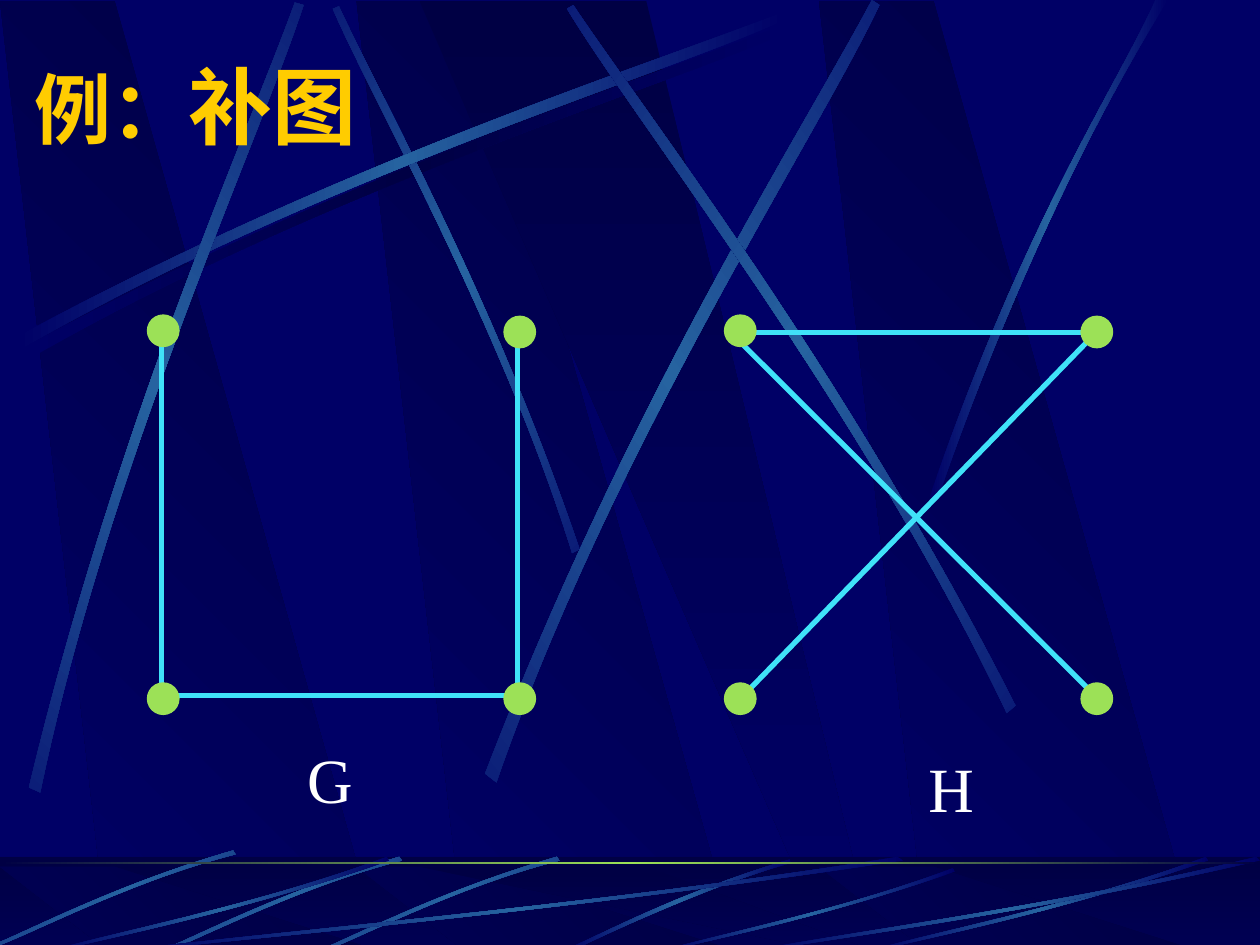
import math
from dataclasses import dataclass

import lxml.etree
import pptx
import pptx.dml.color
import pptx.enum.shapes
import pptx.enum.text
import pptx.oxml
import pptx.oxml.ns
import pptx.util

PX = 9144  # EMU in one px: 100 px to the inch
SLIDE_WIDTH, SLIDE_HEIGHT = 1000, 750
NAVY, DARK, STEEL = "000066", "000044", "2663A0"
GREEN, CYAN, GOLD, WHITE = "9CE157", "40E2F8", "FFCC00", "FFFFFF"
LATIN_FONT, CHINESE_FONT = "Times New Roman", "Noto Sans CJK SC"
SHADE, GLOW = (DARK, NAVY), (NAVY, STEEL, NAVY)
FOOTER_TOP, FOOTER_BOTTOM = 680, 755
NODE_SIZE = 25

Point = tuple[float, float]


@dataclass(frozen=True)
class Stroke:
    """A tapered ray: one Bezier edge out and one back, four points each."""
    points: tuple[Point, ...]
    rotation: float = 0
    colors: tuple[str, ...] = GLOW
    angle: int = 180


@dataclass(frozen=True)
class Graph:
    label: str
    label_at: Point
    label_in_group: bool
    columns: tuple[int, int]
    edges: tuple[tuple[int, int, int, int], ...]


@dataclass(frozen=True)
class TextRun:
    text: str
    size: int
    font: str = LATIN_FONT


RAYS = (
    Stroke(((20, 275), (284, 134), (524, 59), (626, 18),
            (629, 24), (528, 69), (254, 151), (23, 285)), colors=(NAVY, DARK, NAVY)),
    Stroke(((460, 436), (391, 234), (302, 77), (269, 5),
            (264, 7), (295, 79), (398, 258), (454, 439)), 45),
    Stroke(((14, 267), (278, 125), (518, 51), (620, 10),
            (623, 16), (522, 61), (248, 143), (17, 277))),
    Stroke(((23, 625), (93, 334), (197, 105), (234, 2),
            (241, 4), (207, 109), (86, 368), (32, 629)), 311.7),
    Stroke(((385, 614), (498, 320), (638, 102), (692, 0),
            (698, 4), (649, 108), (486, 355), (394, 621)), 321.6),
    Stroke(((806, 560), (670, 293), (516, 95), (455, 4),
            (450, 7), (507, 101), (685, 325), (799, 566)), 34.8),
    Stroke(((738, 394), (814, 173), (888, 66), (917, 0),
            (927, 0), (836, 145), (769, 322), (744, 397))),
)
FOOTER_RAY = Stroke(((627, 682), (537, 709), (477, 742), (448, 754),
                     (453, 755), (490, 737), (571, 700), (628, 685)))
TILTED_RAY = ((442, 680), (355, 705), (287, 740), (256, 753),
              (257, 755), (288, 743), (365, 703), (444, 683))
TILTED_OFFSETS = ((0, 0), (-125, 0), (-257, -5))
SWEEP = ((267, 3), (151, 43), (46, 64), (1, 75), (0, 74), (44, 61), (164, 38), (265, 0))
SWEEP_WIDTH, SWEEP_HEIGHT = 267, 75
SWEEP_BOXES = ((100, 680, 617), (42, 680, 267), (527, 689, 231),
               (692, 680, 267), (600, 680, 400))  # left, top, width
BAND_OFFSETS = (283, 0, 650)

GRAPHS = (
    Graph("G", (234, 583), False, (117, 400),
          ((408, 552, 133, 552), (128, 267, 128, 558), (411, 267, 411, 559))),
    Graph("H", (727, 590), True, (575, 858),
          ((583, 267, 875, 558), (867, 264, 592, 264), (592, 550, 867, 267))),
)


def px(length: float) -> pptx.util.Emu:
    return pptx.util.Emu(round(length * PX))


def rgb(color: str) -> pptx.dml.color.RGBColor:
    return pptx.dml.color.RGBColor.from_string(color)


def fill_gradient(shape, colors: tuple[str, ...], angle: int) -> None:
    """Fill with evenly spaced stops; the angle runs clockwise in degrees."""
    shape.shadow.inherit = False
    shape.line.fill.background()
    shape.fill.gradient()
    gradient = shape.element.spPr.find(pptx.oxml.ns.qn("a:gradFill"))
    stops = "".join(
        f'<a:gs pos="{100000 * index // (len(colors) - 1)}"><a:srgbClr val="{color}"/></a:gs>'
        for index, color in enumerate(colors))
    replacement = pptx.oxml.parse_xml(
        f'<a:gradFill {pptx.oxml.ns.nsdecls("a")} rotWithShape="1"><a:gsLst>{stops}</a:gsLst>'
        f'<a:lin ang="{angle * 60000}" scaled="1"/></a:gradFill>')
    gradient.getparent().replace(gradient, replacement)


def add_preset(shapes, preset: str, left: float, top: float, width: float, height: float,
               color: str):
    kind = getattr(pptx.enum.shapes.MSO_SHAPE, preset)
    shape = shapes.add_shape(kind, px(left), px(top), px(width), px(height))
    shape.shadow.inherit = False
    shape.fill.solid()
    shape.fill.fore_color.rgb = rgb(color)
    shape.line.fill.background()
    return shape


def add_outline(shapes, points: list[Point]):
    corners = [(px(x), px(y)) for x, y in points]
    builder = shapes.build_freeform(*corners[0], scale=1.0)
    builder.add_line_segments(corners[1:], close=True)
    return builder.convert_to_shape()


def bend_edges(shape) -> None:
    """Turn segments 1-3 and 5-7 of an eight-point outline into Bezier curves."""
    segments = shape.element.findall(".//" + pptx.oxml.ns.qn("a:lnTo"))
    for controls in (segments[:3], segments[4:7]):
        bezier = lxml.etree.Element(pptx.oxml.ns.qn("a:cubicBezTo"))
        controls[0].addprevious(bezier)
        for segment in controls:
            bezier.append(segment[0])
            segment.getparent().remove(segment)


def turn(point: Point, degrees: float) -> Point:
    cosine, sine = math.cos(math.radians(degrees)), math.sin(math.radians(degrees))
    x, y = point
    return x * cosine - y * sine, x * sine + y * cosine


def add_stroke(shapes, stroke: Stroke) -> None:
    """Draw the ray level, then rotate it into place."""
    shape = add_outline(shapes, [turn(point, -stroke.rotation) for point in stroke.points])
    bend_edges(shape)
    center = (shape.left + shape.width / 2, shape.top + shape.height / 2)
    center_x, center_y = turn(center, stroke.rotation)
    shape.left = round(center_x - shape.width / 2)
    shape.top = round(center_y - shape.height / 2)
    shape.rotation = stroke.rotation
    fill_gradient(shape, stroke.colors, stroke.angle)


def add_bands(shapes, top: int, bottom: int) -> None:
    for left in BAND_OFFSETS:
        corners = ((86, bottom), (302, bottom), (91, top), (0, top))
        band = add_outline(shapes, [(left + x, y) for x, y in corners])
        fill_gradient(band, SHADE, 135)
    wedge = add_outline(shapes, [(333, top), (658, bottom), (694, bottom), (513, top)])
    fill_gradient(wedge, SHADE, 90)


def add_footer(shapes) -> None:
    box = (0, FOOTER_TOP, SLIDE_WIDTH, FOOTER_BOTTOM - FOOTER_TOP)
    fill_gradient(add_preset(shapes, "RECTANGLE", *box, DARK), SHADE, 90)
    add_bands(shapes, 688, FOOTER_BOTTOM)
    veil = add_preset(shapes, "RECTANGLE", *box, DARK)
    color = veil.element.spPr.find(".//" + pptx.oxml.ns.qn("a:srgbClr"))
    lxml.etree.SubElement(color, pptx.oxml.ns.qn("a:alpha"), val="50000")
    add_stroke(shapes, FOOTER_RAY)
    for dx, dy in TILTED_OFFSETS:
        points = tuple((x + dx, y + dy) for x, y in TILTED_RAY)
        add_stroke(shapes, Stroke(points, 314.9, angle=90))
    for left, top, width in SWEEP_BOXES:
        scale_x, scale_y = width / SWEEP_WIDTH, (FOOTER_BOTTOM - top) / SWEEP_HEIGHT
        add_stroke(shapes, Stroke(tuple((left + x * scale_x, top + y * scale_y)
                                        for x, y in SWEEP)))
    rule = add_preset(shapes, "RECTANGLE", 0, 684, SLIDE_WIDTH, 2, DARK)
    fill_gradient(rule, (DARK, GREEN, DARK), 180)


def move_to_master(group, master) -> None:
    names = group.element.iter(pptx.oxml.ns.qn("p:cNvPr"))
    for number, properties in enumerate(names, start=100):
        properties.set("id", str(number))
    master.shapes.element.append(group.element)


def write_text(shape, runs: tuple[TextRun, ...], *, color: str, bold: bool = False,
               wrap: bool = False, anchor: str = "TOP") -> None:
    frame = shape.text_frame
    frame.word_wrap = wrap
    frame.auto_size = pptx.enum.text.MSO_AUTO_SIZE.SHAPE_TO_FIT_TEXT
    frame.vertical_anchor = getattr(pptx.enum.text.MSO_ANCHOR, anchor)
    paragraph = frame.paragraphs[0]
    paragraph.alignment = pptx.enum.text.PP_ALIGN.LEFT
    for item in runs:
        run = paragraph.add_run()
        run.text = item.text
        run.font.name = item.font
        run.font.size = pptx.util.Pt(item.size)
        run.font.bold = bold
        run.font.color.rgb = rgb(color)
        lxml.etree.SubElement(run.font._element, pptx.oxml.ns.qn("a:ea"),
                              typeface=CHINESE_FONT)


def add_edge(shapes, x1: int, y1: int, x2: int, y2: int) -> None:
    edge = shapes.add_connector(pptx.enum.shapes.MSO_CONNECTOR.STRAIGHT,
                                px(x1), px(y1), px(x2), px(y2))
    edge.line.color.rgb = rgb(CYAN)
    edge.line.width = pptx.util.Pt(3)
    lxml.etree.SubElement(edge.element.spPr, pptx.oxml.ns.qn("a:effectLst"))


def add_graph(slide, graph: Graph) -> None:
    group = slide.shapes.add_group_shape()
    for edge in graph.edges:
        add_edge(group.shapes, *edge)
    for left, top_row in zip(graph.columns, (250, 251)):
        for top in (top_row, 542):
            node = add_preset(group.shapes, "OVAL", left, top, NODE_SIZE, NODE_SIZE, GREEN)
            node.line.color.rgb = rgb(GREEN)
            node.line.width = pptx.util.Pt(0.75)
    owner = group if graph.label_in_group else slide
    left, top = graph.label_at
    label = owner.shapes.add_textbox(px(left), px(top), px(56), px(70))
    write_text(label, (TextRun(graph.label, 36),), color=WHITE)


def main() -> None:
    presentation = pptx.Presentation()
    presentation.slide_width, presentation.slide_height = px(SLIDE_WIDTH), px(SLIDE_HEIGHT)
    master = presentation.slide_master
    master.background.fill.solid()
    master.background.fill.fore_color.rgb = rgb(NAVY)
    slide = presentation.slides.add_slide(presentation.slide_layouts.get_by_name("Title Only"))

    backdrop = slide.shapes.add_group_shape()
    add_bands(backdrop.shapes, 1, 752)
    for ray in RAYS:
        add_stroke(backdrop.shapes, ray)
    add_footer(backdrop.shapes)
    move_to_master(backdrop, master)

    title = slide.shapes.title
    title.left, title.top, title.width, title.height = px(17), px(38), px(850), px(90)
    write_text(title, (TextRun("例：", 44), TextRun("补图", 48, CHINESE_FONT)),
               color=GOLD, bold=True, wrap=True, anchor="MIDDLE")
    for graph in GRAPHS:
        add_graph(slide, graph)
    presentation.save("out.pptx")


if __name__ == "__main__":
    main()
